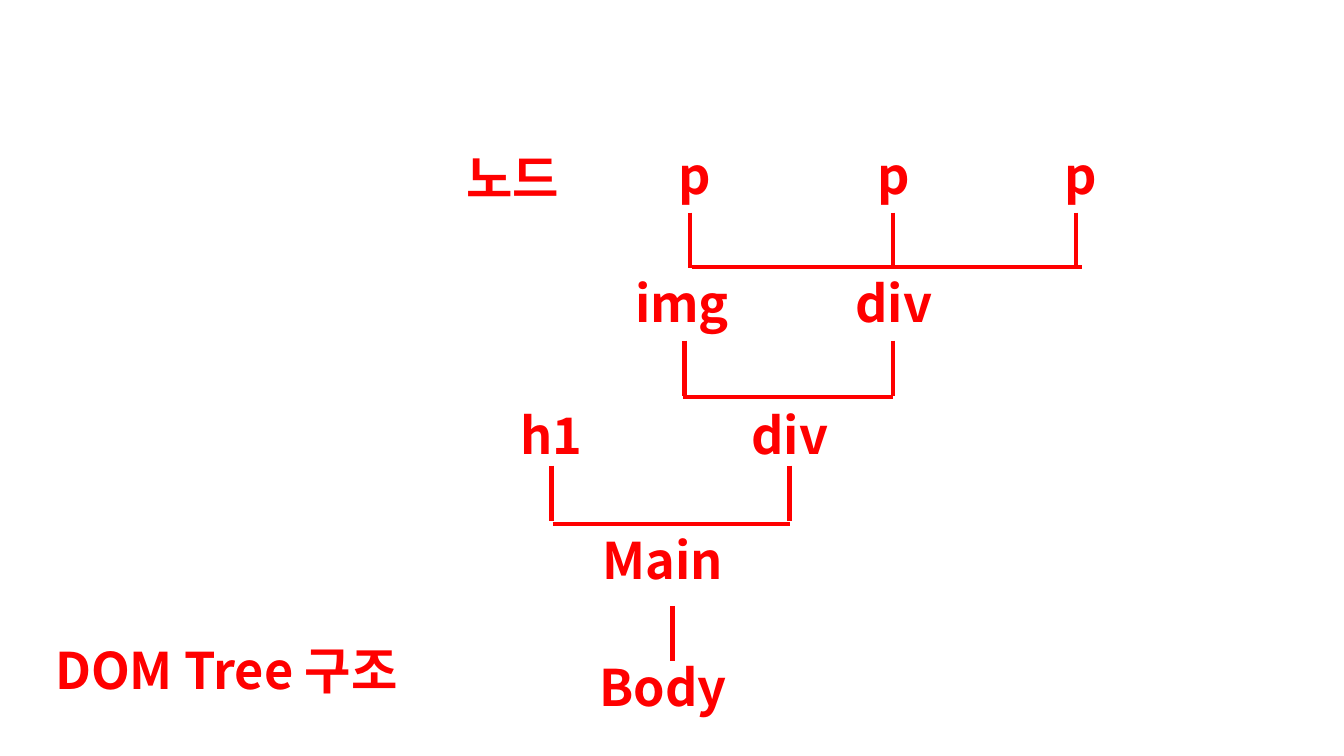
from lxml.etree import SubElement
from pptx import Presentation
from pptx.dml.color import RGBColor
from pptx.enum.shapes import MSO_CONNECTOR as Link
from pptx.enum.text import MSO_AUTO_SIZE as Fit, PP_ALIGN as Align
from pptx.oxml.ns import qn
from pptx.util import Inches, Pt

RED = RGBColor(0xFF, 0x00, 0x00)
FACE = "Noto Sans CJK KR"
FONT = {"name": FACE, "size": Pt(36), "bold": True}
FRAME = {"word_wrap": True, "auto_size": Fit.SHAPE_TO_FIT_TEXT}
WIDE, HIGH = 1.51, 0.71
STEM = 0.55

# Each level: top of its labels, then (word, left) pairs
NODES = [
    (1.38, [("p", 6.14), ("p", 8.11), ("p", 9.96)]),
    (1.41, [("노드", 4.33)]),
    (2.65, [("img", 6.01), ("div", 8.11)]),
    (3.96, [("h1", 4.71), ("div", 7.08)]),
    (5.2, [("Main", 5.82)]),
    (6.46, [("Body", 5.82)]),
]
# Top of the stems and their centres
STEMS = [
    (2.11, [6.84, 8.86, 10.67]),
    (3.38, [6.79, 8.86]),
    (4.62, [5.47, 7.83]),
    (6.01, [6.67]),
]
# Left end, right end and height of each bar
BARS = [(6.86, 10.73, 2.65), (6.77, 8.86, 3.94), (5.48, 7.84, 5.2)]


def style(item, values):
    for key, value in values.items():
        setattr(item, key, value)


def add_label(slide, text, left, top, width=WIDE):
    box = slide.shapes.add_textbox(
        Inches(left), Inches(top), Inches(width), Inches(HIGH))
    style(box.text_frame, FRAME)
    para = box.text_frame.paragraphs[0]
    para.alignment = Align.CENTER
    run = para.add_run()
    run.text = text
    style(run.font, FONT)
    run.font.color.rgb = RED
    # Hangul takes its face from the East Asian slot
    SubElement(run._r.get_or_add_rPr(), qn("a:ea"), typeface=FACE)


def add_line(slide, x1, y1, x2, y2):
    ends = [Inches(n) for n in (x1, y1, x2, y2)]
    line = slide.shapes.add_connector(Link.STRAIGHT, *ends)
    line.line.color.rgb = RED
    line.line.width = Pt(3)
    SubElement(line._element.spPr, qn("a:effectLst"))


def main():
    deck = Presentation()
    style(deck, {"slide_width": Inches(13.33), "slide_height": Inches(7.5)})
    slide = deck.slides.add_slide(deck.slide_layouts[6])
    for top, words in NODES:
        for text, left in words:
            add_label(slide, text, left, top)
    add_label(slide, "DOM Tree 구조", 0.25, 6.29, 3.99)
    for top, spots in STEMS:
        for x in spots:
            add_line(slide, x, top, x, top + STEM)
    for left, right, y in BARS:
        add_line(slide, left, y, right, y)
    deck.save("out.pptx")


if __name__ == "__main__":
    main()
